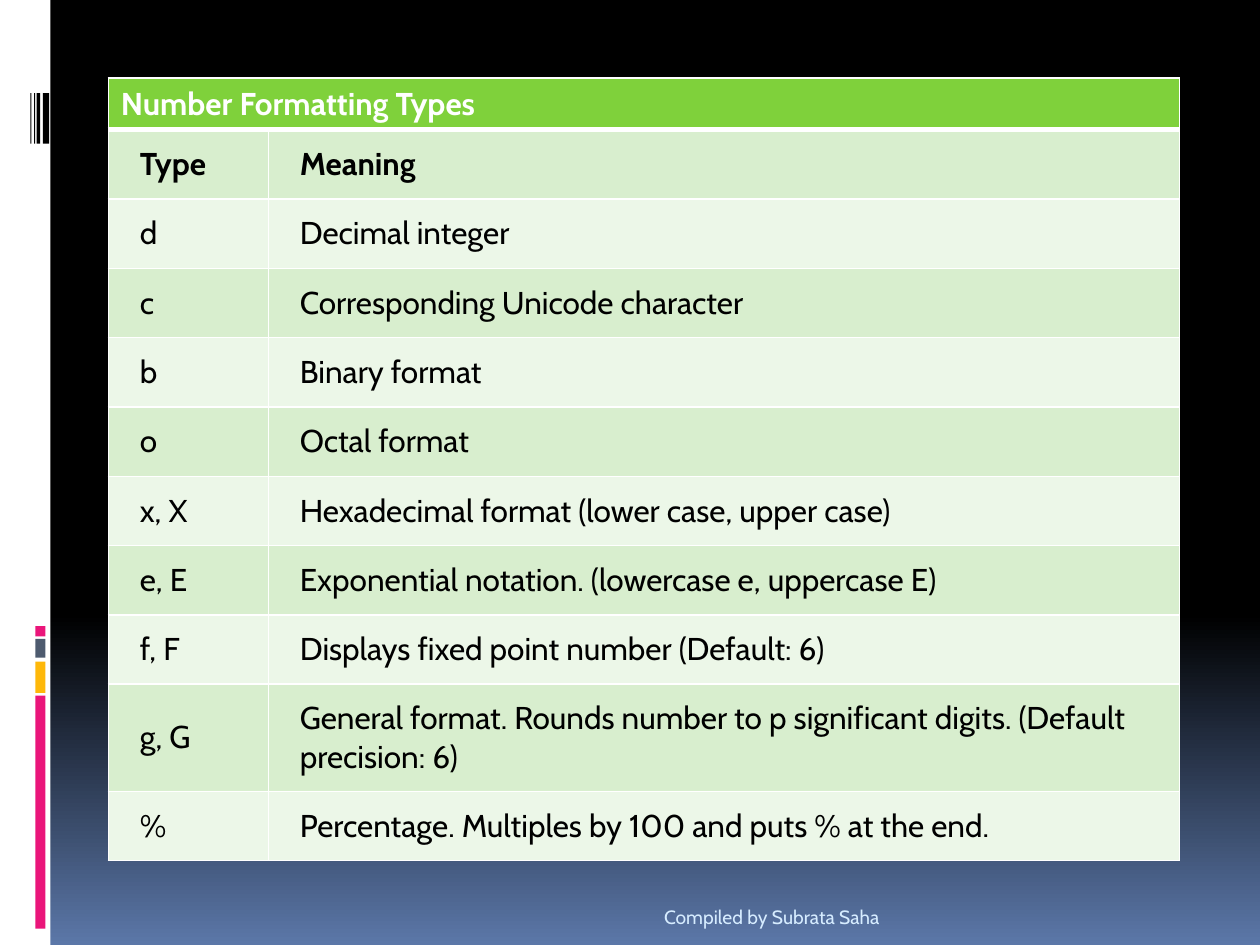
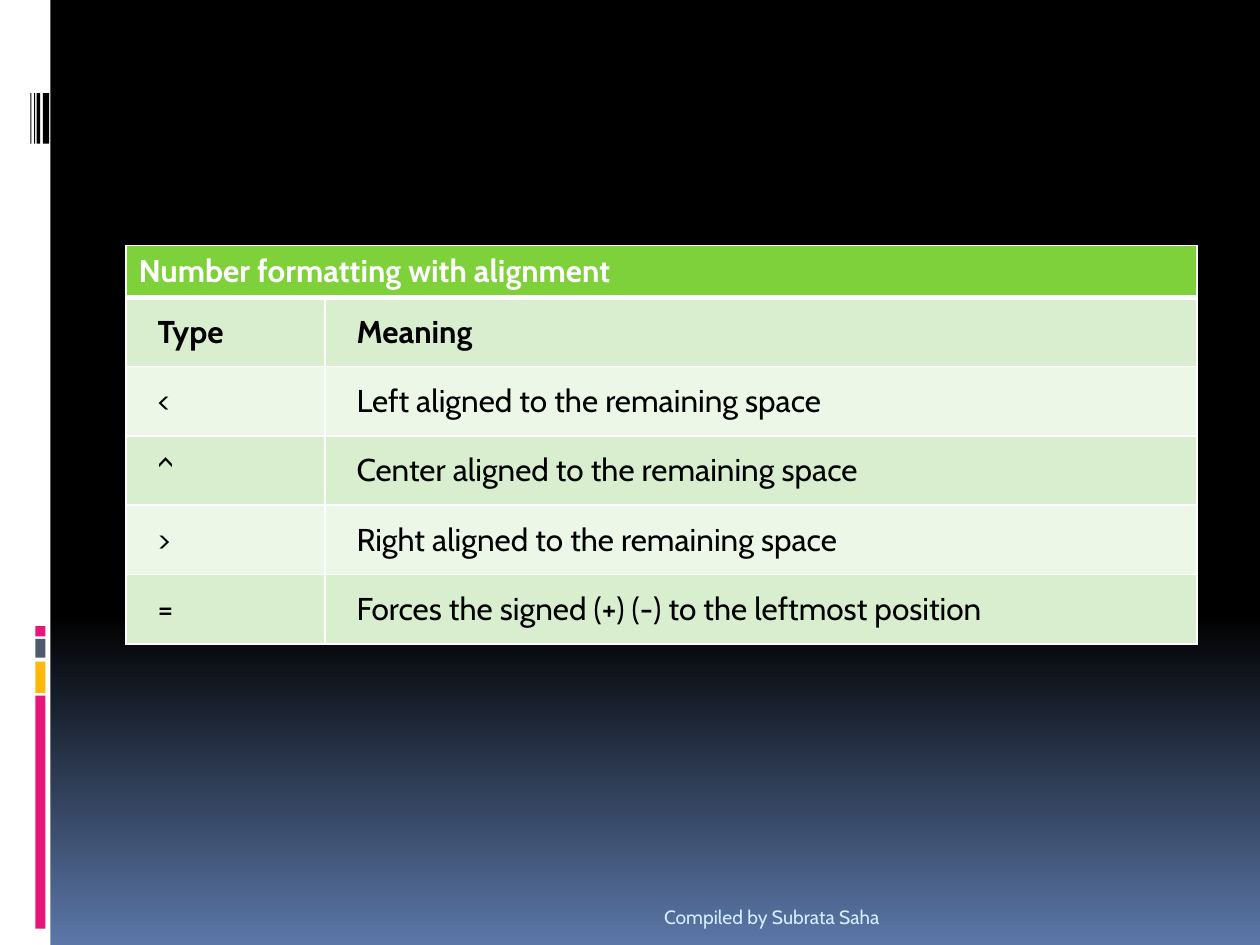
from copy import deepcopy
from dataclasses import dataclass

from lxml import etree
from pptx import Presentation
from pptx.dml.color import RGBColor
from pptx.enum import shapes, text
from pptx.oxml import ns
from pptx.util import Inches, Pt


@dataclass(frozen=True)
class Theme:
    font: str = "Cabin"
    table_size: int = 18
    footer_size: int = 11
    black: str = "000000"
    white: str = "FFFFFF"
    sky: str = "5B77A8"
    pink: str = "EA157A"
    amber: str = "FEB80A"
    slate: str = "4E5B6F"
    green: str = "7FD13B"
    bands: tuple = ("D8EECE", "ECF7E8")
    footer: str = "D6ECFF"
    rule: float = 1
    heading_rule: float = 3


THEME = Theme()
SLIDE_WIDTH, SLIDE_HEIGHT = 10, 7.5
HEADING_HEIGHT, ROW_HEIGHT, TALL_ROW_HEIGHT = 0.41, 0.55, 0.85
COLUMN_NAMES = ("Type", "Meaning")
FOOTER = "Compiled by Subrata Saha"

NUMBER_TYPES = [
    ("d", "Decimal integer"),
    ("c", "Corresponding Unicode character"),
    ("b", "Binary format"),
    ("o", "Octal format"),
    ("x, X", "Hexadecimal format (lower case, upper case)"),
    ("e, E", "Exponential notation. (lowercase e, uppercase E)"),
    ("f, F", "Displays fixed point number (Default: 6)"),
    ("g, G", "General format. Rounds number to p significant digits. (Default precision: 6)"),
    ("%", "Percentage. Multiples by 100 and puts % at the end."),
]
ALIGNMENTS = [
    ("<", "Left aligned to the remaining space"),
    ("^", "Center aligned to the remaining space"),
    (">", "Right aligned to the remaining space"),
    ("=", "Forces the signed (+) (-) to the leftmost position"),
]


def rgb(colour):
    return RGBColor.from_string(colour)


def style_text(frame, size, colour, bold=False):
    for paragraph in frame.paragraphs:
        for run in paragraph.runs:
            run.font.name = THEME.font
            run.font.size = Pt(size)
            run.font.bold = bold
            run.font.color.rgb = rgb(colour)


def paint_background(slide):
    fill = slide.background.fill
    fill.gradient()
    fill.gradient_angle = 270
    start, end = fill.gradient_stops
    start.position, end.position = 0, 1
    start.color.rgb, end.color.rgb = rgb(THEME.black), rgb(THEME.sky)
    stops = slide.element.find(".//" + ns.qn("a:gsLst"))
    horizon = deepcopy(stops[0])
    horizon.set("pos", "65000")
    stops.insert(1, horizon)


def add_block(slide, box, colour):
    block = slide.shapes.add_shape(shapes.MSO_SHAPE.RECTANGLE, *map(Inches, box))
    block.shadow.inherit = False
    block.fill.solid()
    block.fill.fore_color.rgb = rgb(colour)
    block.line.fill.background()


def add_side_band(slide, left, top, width, height):
    add_block(slide, (left, top, width, height), THEME.white)
    accents = [
        (5.52, 1.85, THEME.pink),
        (5.25, 0.25, THEME.amber),
        (5.07, 0.15, THEME.slate),
        (4.97, 0.08, THEME.pink),
    ]
    for offset, length, colour in accents:
        add_block(slide, (left + 0.28, top + offset, 0.08, length), colour)
    for offset, thickness in [(0.34, 0.05), (0.29, 0.03), (0.27, 0.01), (0.24, 0.01)]:
        add_block(slide, (left + offset, top + 0.74, thickness, 0.4), THEME.black)


def add_footer(slide, left, top, width, height):
    footer = slide.shapes.add_textbox(*map(Inches, (left, top, width, height))).text_frame
    footer.word_wrap = True
    footer.vertical_anchor = text.MSO_ANCHOR.BOTTOM
    footer.text = FOOTER
    footer.paragraphs[0].alignment = text.PP_ALIGN.RIGHT
    style_text(footer, THEME.footer_size, THEME.footer)


def draw_borders(cell, top, bottom):
    properties = cell._tc.get_or_add_tcPr()
    widths = {"a:lnL": THEME.rule, "a:lnR": THEME.rule, "a:lnT": top, "a:lnB": bottom}
    for side, width in widths.items():
        border = etree.SubElement(properties, ns.qn(side), w=str(Pt(width)))
        paint = etree.SubElement(border, ns.qn("a:solidFill"))
        etree.SubElement(paint, ns.qn("a:srgbClr"), val=THEME.white)


def fill_cell(cell, content, fill, colour, bold):
    cell.fill.solid()
    cell.fill.fore_color.rgb = rgb(fill)
    cell.vertical_anchor = text.MSO_ANCHOR.MIDDLE
    cell.text_frame.text = content
    style_text(cell.text_frame, THEME.table_size, colour, bold)


def add_format_table(slide, left, top, column_widths, heading, entries, tall_rows=()):
    body = [COLUMN_NAMES, *entries]
    heights = [TALL_ROW_HEIGHT if entry[0] in tall_rows else ROW_HEIGHT for entry in body]
    heights.insert(0, HEADING_HEIGHT)
    box = (left, top, sum(column_widths), sum(heights))
    table = slide.shapes.add_table(len(heights), len(column_widths), *map(Inches, box)).table
    table.first_row = table.horz_banding = False
    for column, width in zip(table.columns, column_widths):
        column.width = Inches(width)
    for row, height in zip(table.rows, heights):
        row.height = Inches(height)

    for cell in table.rows[0].cells:
        draw_borders(cell, THEME.rule, THEME.heading_rule)
    title = table.cell(0, 0)
    title.merge(table.cell(0, len(column_widths) - 1))
    fill_cell(title, heading, THEME.green, THEME.white, True)

    for index, entry in enumerate(body):
        is_names = index == 0
        for cell, content in zip(table.rows[index + 1].cells, entry):
            draw_borders(cell, THEME.heading_rule if is_names else THEME.rule, THEME.rule)
            fill_cell(cell, content, THEME.bands[index % 2], THEME.black, is_names)
            cell.margin_left = cell.margin_right = Inches(0.25)
            cell.margin_top = cell.margin_bottom = Inches(0.12)


def add_table_slide(deck, **table):
    slide = deck.slides.add_slide(deck.slide_layouts[6])
    paint_background(slide)
    add_side_band(slide, 0, 0, 0.4, SLIDE_HEIGHT)
    add_format_table(slide, **table)
    add_footer(slide, 1, 7.02, 6.08, 0.4)


def main():
    deck = Presentation()
    deck.slide_width, deck.slide_height = Inches(SLIDE_WIDTH), Inches(SLIDE_HEIGHT)
    add_table_slide(
        deck, left=0.86, top=0.62, column_widths=(1.27, 7.23),
        heading="Number Formatting Types", entries=NUMBER_TYPES, tall_rows=("g, G",),
    )
    add_table_slide(
        deck, left=1, top=1.95, column_widths=(1.58, 6.92),
        heading="Number formatting with alignment", entries=ALIGNMENTS,
    )
    deck.save("out.pptx")


if __name__ == "__main__":
    main()
